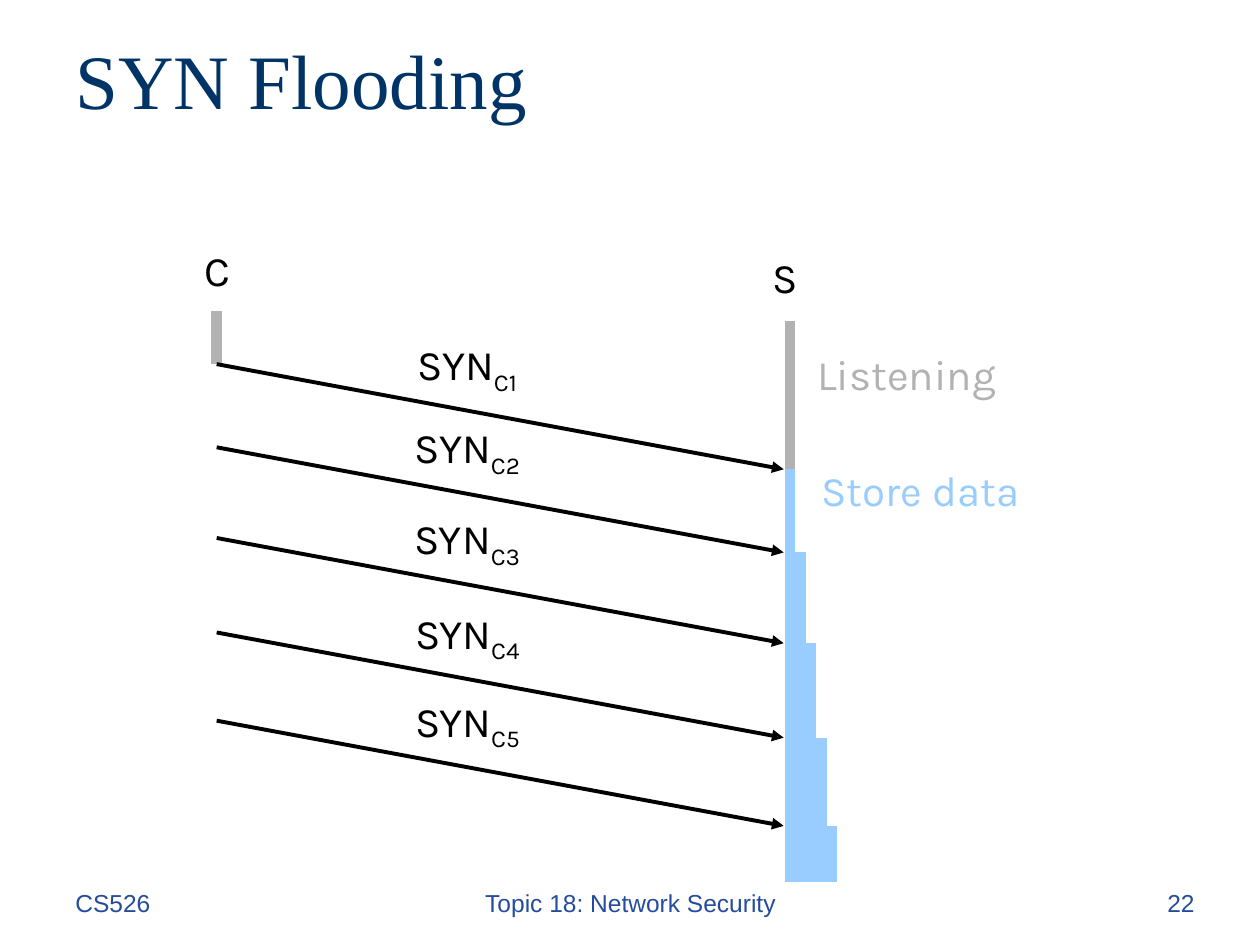
from lxml.etree import SubElement
from pptx import Presentation
from pptx.dml.color import RGBColor
from pptx.enum.shapes import MSO_CONNECTOR as Connector
from pptx.enum.text import MSO_ANCHOR as Anchor, MSO_AUTO_SIZE as AutoSize, PP_ALIGN as Align
from pptx.oxml.ns import qn
from pptx.util import Inches, Pt

THEME = {
    "title": {"name": "Times New Roman", "size": 44, "color": "003366"},
    "footer": {"name": "Arial", "size": 14, "color": "254C9C"},
    "label": {"name": "Karla", "size": 24, "color": "000000"},
    "listening": {"name": "Karla", "size": 24, "color": "B2B2B2"},
    "store": {"name": "Karla", "size": 24, "color": "99CCFF"},
}
ARROW_WIDTH, BAR_WIDTH = 2.25, 6

TITLE = "SYN Flooding"
# text, left, width, alignment
FOOTERS = [
    ("CS526", 0.5, 2.08, Align.LEFT),
    ("Topic 18: Network Security", 3.42, 3.17, Align.CENTER),
    ("22", 7.5, 2.08, Align.RIGHT),
]
# text, left, top, width, style
LABELS = [
    ("C", 1.52, 1.89, 0.41, "label"),
    ("S", 6.03, 1.95, 0.38, "label"),
    ("Listening", 6.38, 2.72, 1.63, "listening"),
    ("Store data", 6.4, 3.64, 1.81, "store"),
]
# subscript, height at which the client sends
SYNS = [("C1", 2.89), ("C2", 3.55), ("C3", 4.27), ("C4", 5.02), ("C5", 5.72)]

CLIENT_X, ARRIVAL_X, SERVER_X = 1.72, 6.22, 6.27
CLIENT_TOP, SERVER_TOP, BOTTOM = 2.47, 2.55, 7
TRAVEL_DROP = 0.835
STORE_STEP = 0.083
SYN_LEFT, SYN_RISE, SYN_WIDTH, SYN_HEIGHT = 3.18, 0.25, 1.06, 0.56


def add_span(para, text, style):
    span = para.add_run()
    span.text = text
    look = THEME[style]
    for name, value in {"name": look["name"], "size": Pt(look["size"])}.items():
        setattr(span.font, name, value)
    span.font.color.rgb = RGBColor.from_string(look["color"])
    return span


def add_text(page, text, place, style, align=Align.CENTER, before=6, wrap=False):
    box = page.shapes.add_textbox(*map(Inches, place))
    frame = box.text_frame
    frame.word_wrap = wrap
    frame.auto_size = AutoSize.NONE if wrap else AutoSize.SHAPE_TO_FIT_TEXT
    para = frame.paragraphs[0]
    for name, value in {"alignment": align, "space_before": Pt(before)}.items():
        setattr(para, name, value)
    add_span(para, text, style)
    return para


def add_line(page, start, end, style, width, arrow=False):
    line = page.shapes.add_connector(Connector.STRAIGHT, *map(Inches, start + end))
    line.line.color.rgb = RGBColor.from_string(THEME[style]["color"])
    line.line.width = Pt(width)
    if arrow:
        SubElement(line.line._get_or_add_ln(), qn("a:tailEnd"), type="triangle")
    SubElement(line._element.spPr, qn("a:effectLst"))


def add_title(page):
    title = page.shapes.title
    place = {"left": 0.5, "top": 0, "width": 9, "height": 1.25}
    for name, value in place.items():
        setattr(title, name, Inches(value))
    frame = title.text_frame
    frame.auto_size = AutoSize.NONE
    frame.vertical_anchor = Anchor.MIDDLE
    frame.paragraphs[0].alignment = Align.LEFT
    add_span(frame.paragraphs[0], TITLE, "title")


def add_syn(page, index, subscript, sent):
    """Draw one SYN arrow, its label and the data the server stores for it."""
    arrival = sent + TRAVEL_DROP
    add_line(page, (CLIENT_X, sent), (ARRIVAL_X, arrival), "label", ARROW_WIDTH, arrow=True)
    place = (SYN_LEFT, sent - SYN_RISE, SYN_WIDTH, SYN_HEIGHT)
    para = add_text(page, "SYN", place, "label")
    span = add_span(para, subscript, "label")
    span._r.get_or_add_rPr().set("baseline", "-25000")
    store_x = SERVER_X + index * STORE_STEP
    add_line(page, (store_x, arrival), (store_x, BOTTOM), "store", BAR_WIDTH)


def main():
    deck = Presentation()
    deck.slide_width, deck.slide_height = Inches(10), Inches(7.5)
    page = deck.slides.add_slide(deck.slide_layouts[5])
    add_title(page)
    for text, left, width, align in FOOTERS:
        add_text(page, text, (left, 7, width, 0.5), "footer", align, before=8.8, wrap=True)
    for text, left, top, width, style in LABELS:
        add_text(page, text, (left, top, width, 0.5), style)

    first_sent = SYNS[0][1]
    for x, top, bottom in [
        (CLIENT_X, CLIENT_TOP, first_sent),
        (SERVER_X, SERVER_TOP, first_sent + TRAVEL_DROP),
    ]:
        add_line(page, (x, top), (x, bottom), "listening", BAR_WIDTH)
    for index, (subscript, sent) in enumerate(SYNS):
        add_syn(page, index, subscript, sent)
    deck.save("out.pptx")


if __name__ == "__main__":
    main()
